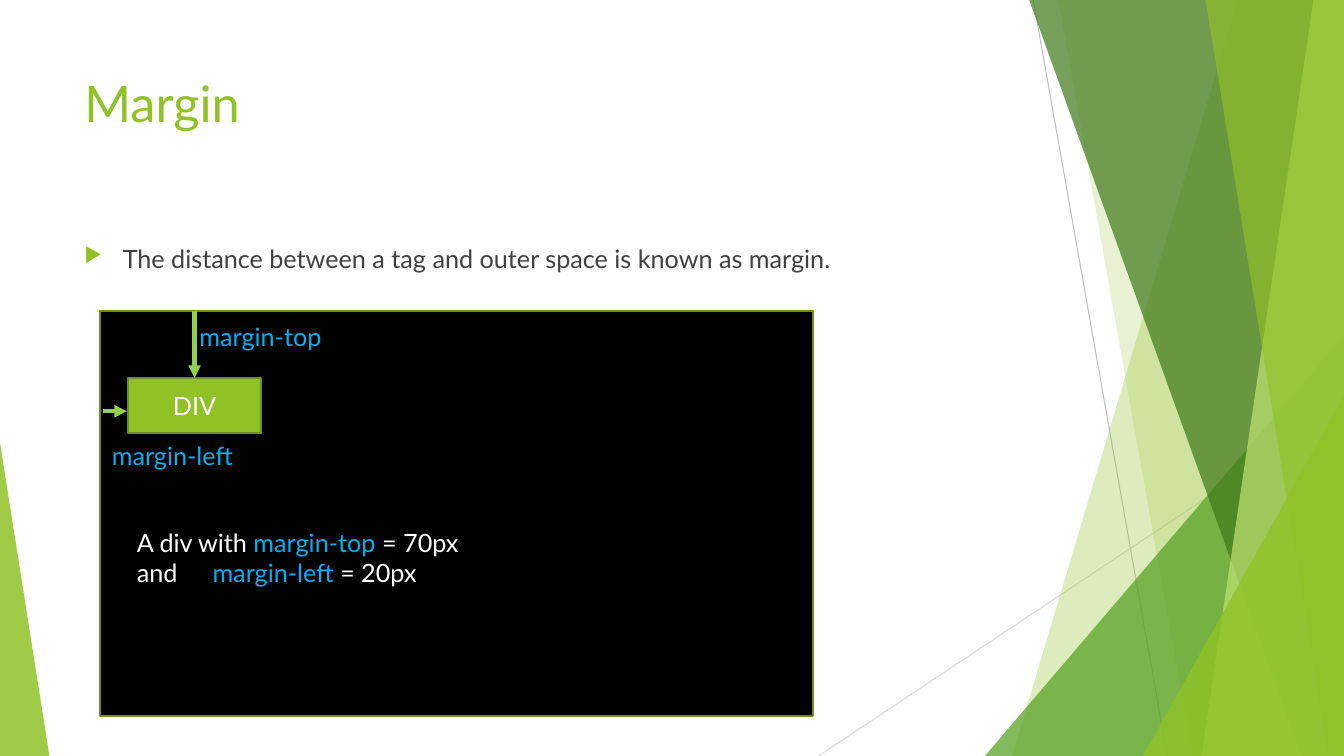
"""Build the slide that explains CSS margins with a boxed DIV."""
from lxml.etree import SubElement
from pptx import Presentation
from pptx.dml.color import RGBColor
from pptx.enum.shapes import MSO_CONNECTOR as Link, MSO_SHAPE as Preset
from pptx.enum.text import MSO_ANCHOR as Anchor, PP_ALIGN as Align
from pptx.oxml.ns import qn
from pptx.util import Inches, Pt

COLORS = {
    "leaf": "90C226", "grass": "54A021", "forest": "3F7819", "lime": "C0E474",
    "edge": "6B901C", "arrow": "92D050", "sky": "00B0F0", "body": "404040",
    "white": "FFFFFF", "black": "000000", "silver": "BFBFBF", "pale": "D9D9D9",
}
PALETTE = {name: RGBColor.from_string(code) for name, code in COLORS.items()}

deck = Presentation()
deck.slide_width, deck.slide_height = Inches(13.33), Inches(7.5)
slide = deck.slides.add_slide(deck.slide_layouts[6])
shapes = slide.shapes


def place(*shares):
    """Turn alternating percentages of slide width and height into lengths."""
    sides = (deck.slide_width, deck.slide_height)
    return [round(share / 100 * sides[i % 2]) for i, share in enumerate(shares)]


def write(frame, lines, color, size=18):
    """Fill a text frame with lines, each a list of (text, color) runs."""
    frame.word_wrap = True
    for i, line in enumerate(lines):
        paragraph = frame.add_paragraph() if i else frame.paragraphs[0]
        for text, run_color in line:
            run = paragraph.add_run()
            run.text = text
            if run_color != color:
                run.font.color.rgb = PALETTE[run_color]
        paragraph.font.name = "Lato"
        paragraph.font.size = Pt(size)
        paragraph.font.color.rgb = PALETTE[color]


rules = [
    ((76.88, 0, 86.85, 100), "silver", 0.75, False),
    ((100, 53.73, 60.9, 100), "pale", 0.75, False),
]
arrows = [
    ((14.48, 41.2, 14.48, 50), "arrow", 3, True),
    ((7.65, 54.4, 9.45, 54.4), "arrow", 3, True),
]
facets = [
    ("band", 92.1, 75.3, "leaf", 30),
    ("band", 78.75, 88.73, "leaf", 20),
    ("peak", (73.28, 44.4, 26.72, 55.6), 1, "grass", 72),
    ("band", 76.58, 96.83, "forest", 70),
    ("band", 97.73, 89.4, "lime", 70),
    ("band", 89.7, 98.85, "leaf", 65),
    ("peak", (85.05, 52.4, 14.95, 47.6), 1, "leaf", 80),
    ("peak", (0, 58.53, 3.68, 41.47), 0, "leaf", 85),
]
panels = [
    ((7.43, 41.2, 53.03, 53.47), "black"),
    ((9.53, 50, 9.9, 7.33), "leaf"),
]
texts = [
    ((5.55, 8.93, 70.5, 19.2), [[("Margin", "leaf")]], "leaf", 36),
    ((9.45, 69.07, 27.75, 9.47), [
        [("A div with ", "white"), ("margin-top", "sky"), (" = 70px", "white")],
        [("and\t", "white"), ("margin-left ", "sky"), ("= 20px", "white")],
    ], "white", 18),
    ((14.1, 41.87, 11.78, 5.33), [[("margin-top", "sky")]], "sky", 18),
    ((7.58, 57.6, 11.48, 5.33), [[("margin-left", "sky")]], "sky", 18),
]

connectors = []
for ends, color, weight, pointed in rules + arrows:
    connector = shapes.add_connector(Link.STRAIGHT, *place(*ends))
    connector.line.color.rgb = PALETTE[color]
    connector.line.width = Pt(weight)
    if pointed:
        SubElement(connector.line._get_or_add_ln(), qn("a:tailEnd"), type="triangle")
        connectors.append(connector)
    SubElement(connector._element.spPr, qn("a:effectLst"))

for kind, start, end, color, opacity in facets:
    if kind == "band":
        outline = shapes.build_freeform(*place(start, 0))
        corners = [(100, 0), (100, 100), (end, 100)]
        outline.add_line_segments([place(*corner) for corner in corners])
        facet = outline.convert_to_shape()
    else:
        facet = shapes.add_shape(Preset.ISOSCELES_TRIANGLE, *place(*start))
        facet.adjustments[0] = end
    facet.shadow.inherit = False
    facet.fill.solid()
    facet.fill.fore_color.rgb = PALETTE[color]
    facet.line.fill.background()
    tint = facet._element.spPr.find(".//" + qn("a:srgbClr"))
    SubElement(tint, qn("a:alpha"), val=str(opacity * 1000))

for area, color in panels:
    panel = shapes.add_shape(Preset.RECTANGLE, *place(*area))
    panel.shadow.inherit = False
    panel.fill.solid()
    panel.fill.fore_color.rgb = PALETTE[color]
    panel.line.color.rgb = PALETTE["edge"]
    panel.line.width = Pt(1.5)
write(panel.text_frame, [[("DIV", "white")]], "white")
panel.text_frame.vertical_anchor = Anchor.MIDDLE
panel.text_frame.paragraphs[0].alignment = Align.CENTER

for connector in connectors:
    shapes._spTree.append(connector._element)

definition = shapes.add_textbox(*place(5.55, 31.47, 70.5, 8)).text_frame
bullet = definition.paragraphs[0]._p.get_or_add_pPr()
bullet.set("marL", str(Inches(0.38)))
bullet.set("indent", str(-Inches(0.38)))
SubElement(SubElement(bullet, qn("a:buClr")), qn("a:srgbClr"), val=COLORS["leaf"])
SubElement(bullet, qn("a:buSzPct"), val="80000")
SubElement(bullet, qn("a:buChar"), char="▶")
sentence = "The distance between a tag and outer space is known as margin."
write(definition, [[(sentence, "body")]], "body")

for area, lines, color, size in texts:
    frame = shapes.add_textbox(*place(*area)).text_frame
    write(frame, lines, color, size)
    if len(lines) > 1:
        settings = frame.paragraphs[1]._p.get_or_add_pPr()
        stops = settings.makeelement(qn("a:tabLst"))
        SubElement(stops, qn("a:tab"), pos=str(Inches(0.75)), algn="l")
        settings.insert(0, stops)

deck.save("out.pptx")
